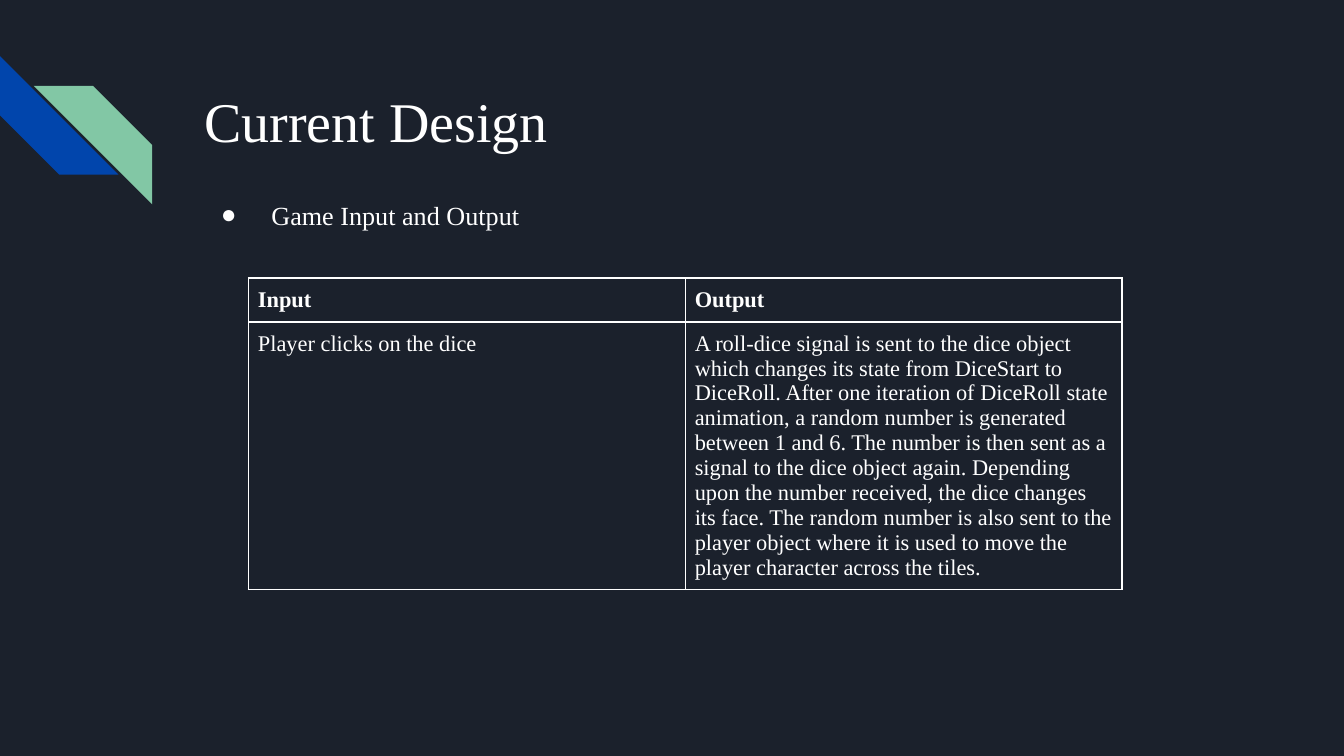
import pptx
import pptx.util
import pptx.dml.color
import pptx.enum.shapes
import pptx.enum.text
import pptx.oxml.ns
from lxml import etree

Pt = pptx.util.Pt
FONT = "Times New Roman"
WHITE = "FFFFFF"
ROWS = [
    ("Input", "Output"),
    ("Player clicks on the dice",
     "A roll-dice signal is sent to the dice object which changes its state from "
     "DiceStart to DiceRoll. After one iteration of DiceRoll state animation, a random "
     "number is generated between 1 and 6. The number is then sent as a signal to the "
     "dice object again. Depending upon the number received, the dice changes its face. "
     "The random number is also sent to the player object where it is used to move the "
     "player character across the tiles."),
]


def color(hex_value):
    return pptx.dml.color.RGBColor.from_string(hex_value)


def add_xml(parent, tag, **attrs):
    return etree.SubElement(parent, pptx.oxml.ns.qn(tag), attrs)


def style_paragraph(p, size, bold=False):
    p.alignment = pptx.enum.text.PP_ALIGN.LEFT
    p.font.name = FONT
    p.font.size = Pt(size)
    p.font.bold = bold
    p.font.color.rgb = color(WHITE)


def add_corner_stripes(s, left, top, size):
    """Draw two diagonal stripes, the second shifted right and down."""
    group = s.shapes.add_group_shape()
    for dx, dy, angle, fill in ((0, 0, 270, "0145AC"), (18, 16, 90, "82C7A5")):
        sp = group.shapes.add_shape(
            pptx.enum.shapes.MSO_SHAPE.DIAGONAL_STRIPE,
            Pt(left + dx), Pt(top + dy), Pt(size), Pt(size))
        sp.rotation = angle
        sp.shadow.inherit = False
        sp.fill.solid()
        sp.fill.fore_color.rgb = color(fill)
        sp.line.fill.background()


def fill_placeholder(sp, text, size, left, top, width, height):
    sp.left, sp.top, sp.width, sp.height = Pt(left), Pt(top), Pt(width), Pt(height)
    tf = sp.text_frame
    tf.text = text
    tf.word_wrap = True
    tf.auto_size = pptx.enum.text.MSO_AUTO_SIZE.NONE
    tf.vertical_anchor = pptx.enum.text.MSO_ANCHOR.TOP
    tf.margin_left = tf.margin_right = tf.margin_top = tf.margin_bottom = Pt(7.2)
    p = tf.paragraphs[0]
    style_paragraph(p, size)
    p.space_before = Pt(0)
    return p


def add_title(s, left, top, width, height):
    p = fill_placeholder(s.shapes.title, "Current Design", 30, left, top, width, height)
    p.line_spacing = 1.1


def add_bullet_list(s, left, top, width, height):
    p = fill_placeholder(s.placeholders[1], "Game Input and Output", 14,
                         left, top, width, height)
    p.line_spacing = 1.15
    pPr = p._p.get_or_add_pPr()
    pPr.set("marL", str(Pt(36)))
    pPr.set("indent", str(Pt(-27)))
    add_xml(add_xml(pPr, "a:buClr"), "a:srgbClr", val=WHITE)
    add_xml(pPr, "a:buFont", typeface=FONT)
    add_xml(pPr, "a:buChar", char="●")


def add_cell_borders(cell):
    tcPr = cell._tc.get_or_add_tcPr()
    for side in ("a:lnL", "a:lnR", "a:lnT", "a:lnB"):
        ln = add_xml(tcPr, side, w=str(Pt(1)))
        add_xml(add_xml(ln, "a:solidFill"), "a:srgbClr", val=WHITE)


def add_io_table(s, left, top, width, row_heights):
    frame = s.shapes.add_table(len(ROWS), len(ROWS[0]), Pt(left), Pt(top),
                               Pt(width), Pt(sum(row_heights)))
    table = frame.table
    table.first_row = table.horz_banding = False
    for i, (texts, height) in enumerate(zip(ROWS, row_heights)):
        table.rows[i].height = Pt(height)
        for j, text in enumerate(texts):
            cell = table.cell(i, j)
            cell.text = text
            cell.margin_left = cell.margin_right = Pt(5)
            cell.margin_top = cell.margin_bottom = Pt(5)
            style_paragraph(cell.text_frame.paragraphs[0], 12, bold=i == 0)
            add_cell_borders(cell)
            cell.fill.background()


def main():
    prs = pptx.Presentation()
    prs.slide_width, prs.slide_height = Pt(720), Pt(405)
    s = prs.slides.add_slide(prs.slide_layouts[1])
    s.background.fill.solid()
    s.background.fill.fore_color.rgb = color("1B212C")
    add_corner_stripes(s, 0, 30, 63.5)
    add_title(s, 102.2, 35.5, 554.4, 72)
    add_bullet_list(s, 102.2, 97.2, 554.4, 229)
    add_io_table(s, 133.2, 149, 468, (23.5, 143))
    prs.save("out.pptx")


if __name__ == "__main__":
    main()
